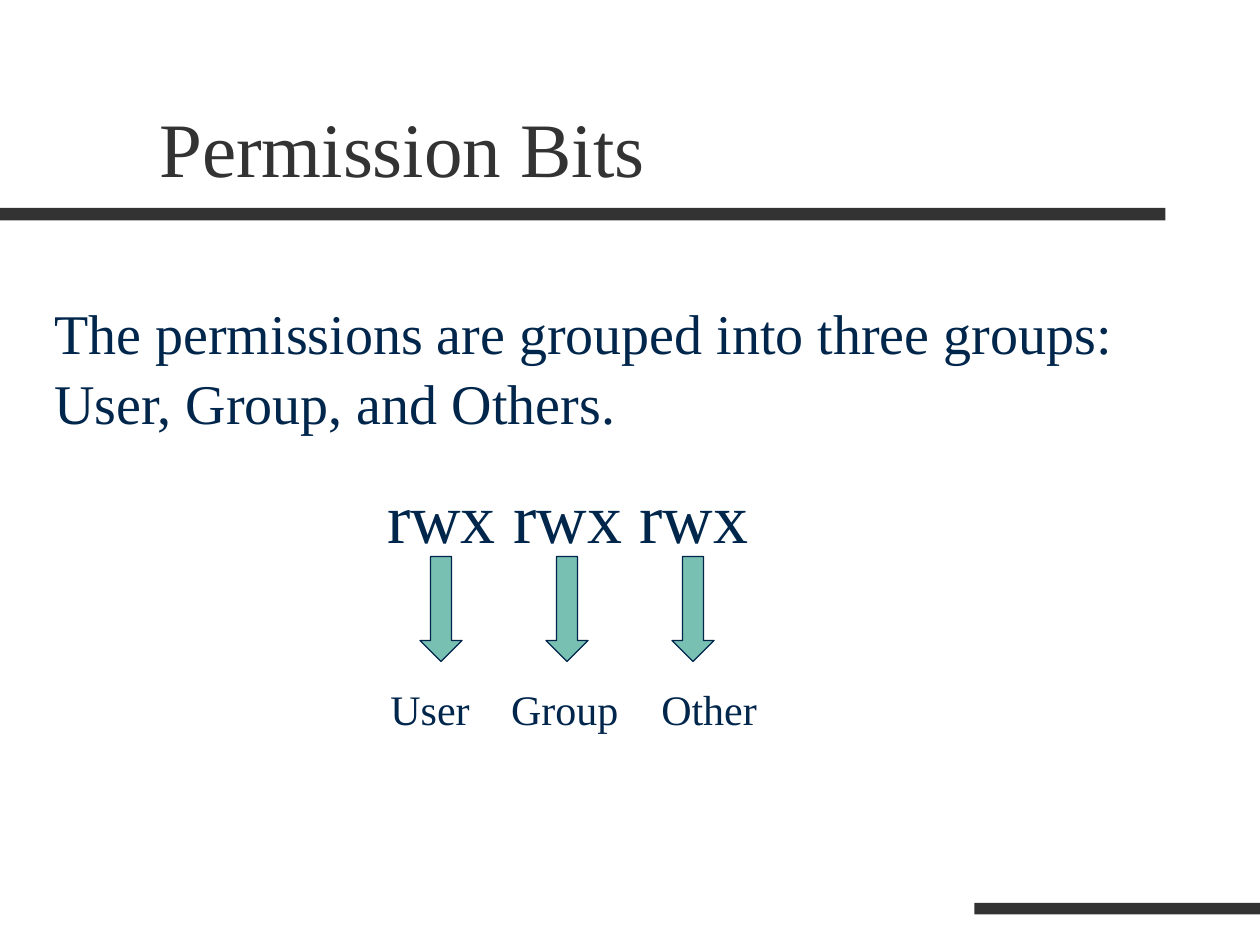
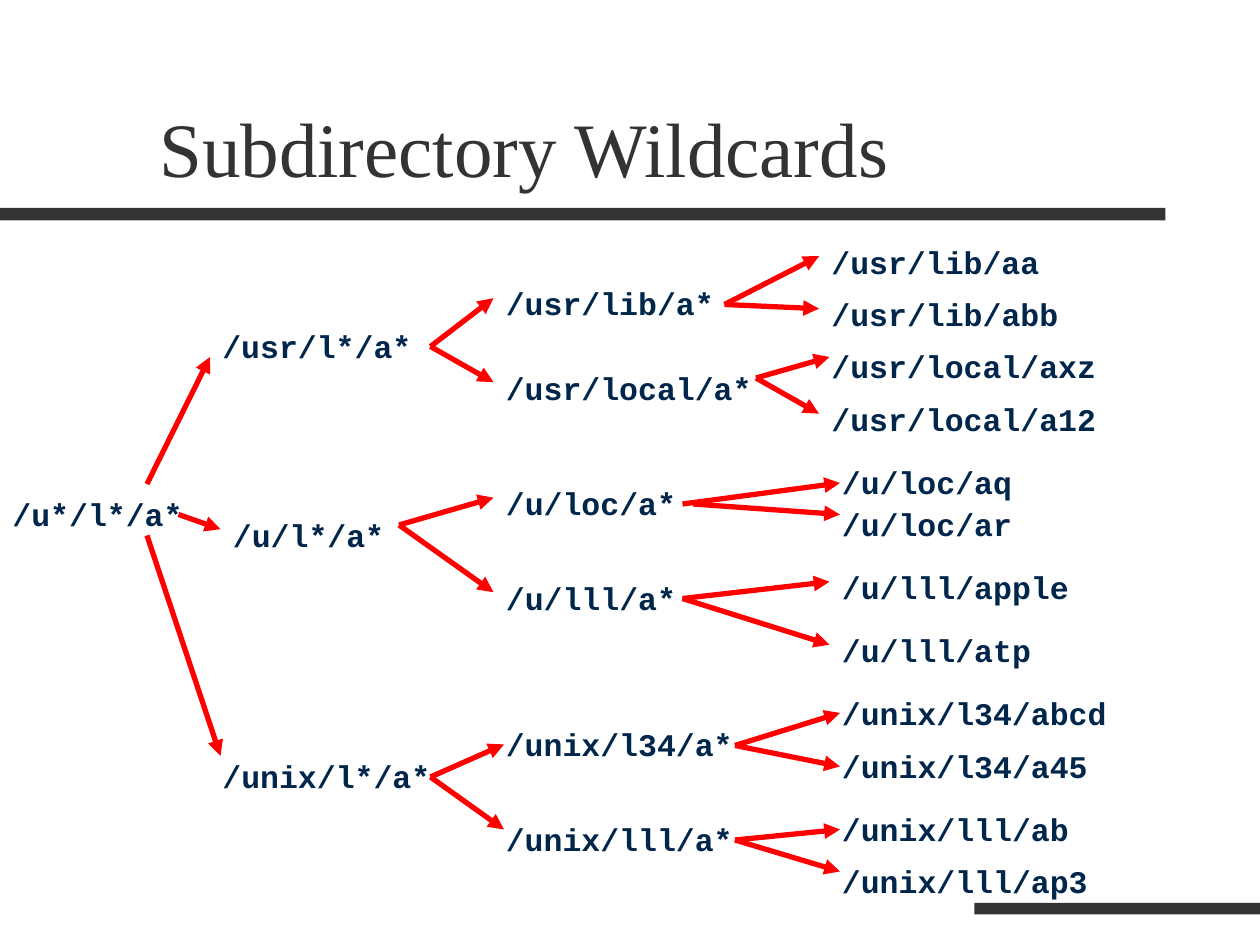
"""Build two slides on file permissions and wildcards."""
from dataclasses import dataclass

import pptx
import pptx.dml.color
import pptx.enum.shapes
import pptx.enum.text
import pptx.oxml
import pptx.oxml.ns
import pptx.util

PX = 914400 // 120
COLORS = {"band": "333333", "ink": "00264C", "teal": "78C0B2", "red": "FF0000"}
SERIF, MONO = "Times New Roman", "Courier New"
PATH_HEIGHT = 48
JOIN_REACH = 6


@dataclass(frozen=True)
class PathLabel:
    text: str
    left: int
    top: int
    width: int

    @property
    def entry(self) -> tuple[int, int]:
        return self.left, self.top + PATH_HEIGHT // 2


@dataclass(frozen=True)
class Fork:
    start: tuple[int, int]
    tips: tuple[tuple[int, int], ...]


PATHS = [
    PathLabel("/u*/l*/a*", 0, 460, 260),
    PathLabel("/usr/l*/a*", 200, 300, 230),
    PathLabel("/u/l*/a*", 210, 480, 210),
    PathLabel("/unix/l*/a*", 200, 710, 260),
    PathLabel("/usr/lib/a*", 470, 260, 230),
    PathLabel("/usr/local/a*", 470, 340, 290),
    PathLabel("/u/loc/a*", 470, 450, 210),
    PathLabel("/u/lll/a*", 470, 540, 210),
    PathLabel("/unix/l34/a*", 470, 680, 240),
    PathLabel("/unix/lll/a*", 470, 770, 240),
    PathLabel("/usr/lib/aa", 780, 220, 230),
    PathLabel("/usr/lib/abb", 780, 270, 270),
    PathLabel("/usr/local/axz", 780, 320, 290),
    PathLabel("/usr/local/a12", 780, 370, 290),
    PathLabel("/u/loc/aq", 790, 430, 290),
    PathLabel("/u/loc/ar", 790, 470, 290),
    PathLabel("/u/lll/apple", 790, 530, 260),
    PathLabel("/u/lll/atp", 790, 590, 210),
    PathLabel("/unix/l34/abcd", 790, 650, 300),
    PathLabel("/unix/l34/a45", 790, 700, 260),
    PathLabel("/unix/lll/ab", 790, 760, 260),
    PathLabel("/unix/lll/ap3", 790, 810, 260),
]

FORKS = [
    Fork((140, 461), ((200, 340),)),
    Fork((170, 490), ((210, 500),)),
    Fork((140, 510), ((210, 720),)),
    Fork((410, 330), ((470, 289), (470, 360))),
    Fork((380, 500), ((470, 469), (470, 560))),
    Fork((410, 740), ((480, 709), (480, 790))),
    Fork((690, 290), ((780, 250), (780, 290))),
    Fork((720, 360), ((790, 340), (780, 390))),
    Fork((650, 480), ((800, 460),)),
    Fork((660, 480), ((800, 490),)),
    Fork((650, 570), ((790, 559), (790, 610))),
    Fork((700, 710), ((800, 679), (800, 730))),
    Fork((700, 800), ((800, 790), (800, 830))),
]


def rgb(name: str) -> pptx.dml.color.RGBColor:
    """Look up a named colour."""
    return pptx.dml.color.RGBColor.from_string(COLORS[name])


def px(*lengths: int) -> list[int]:
    """Turn px lengths into EMU."""
    return [length * PX for length in lengths]


def add_text(slide, text: str, left: int, top: int, width: int, height: int, *,
             size: int, font: str = SERIF, color: str = "ink", bold: bool = False,
             bottom: bool = False, inset_top: int = 11, spacing: float = 1.0,
             tabs: tuple[int, ...] = ()):
    """Add one formatted paragraph in a text box."""
    box = slide.shapes.add_textbox(*px(left, top, width, height))
    frame = box.text_frame
    frame.word_wrap = True
    frame.margin_top = inset_top * PX
    anchors = pptx.enum.text.MSO_ANCHOR
    frame.vertical_anchor = anchors.BOTTOM if bottom else anchors.TOP
    paragraph = frame.paragraphs[0]
    paragraph.line_spacing = spacing
    run = paragraph.add_run()
    run.text = text
    run.font.name = font
    run.font.size = pptx.util.Pt(size)
    run.font.bold = bold
    run.font.color.rgb = rgb(color)
    if tabs:
        stops = "".join(f'<a:tab pos="{tab * PX}" algn="l"/>' for tab in tabs)
        namespace = pptx.oxml.ns.nsdecls("a")
        paragraph.runs[0].font
        properties = paragraph._p.get_or_add_pPr()
        properties.append(pptx.oxml.parse_xml(f"<a:tabLst {namespace}>{stops}</a:tabLst>"))
    return box


def add_block(slide, kind, left: int, top: int, width: int, height: int,
              fill: str, outline: str | None = None) -> None:
    """Add a filled preset shape."""
    block = slide.shapes.add_shape(kind, *px(left, top, width, height))
    block.shadow.inherit = False
    block.fill.solid()
    block.fill.fore_color.rgb = rgb(fill)
    if outline:
        block.line.color.rgb = rgb(outline)
        block.line.width = pptx.util.Pt(0.75)
    else:
        block.line.fill.background()


def add_arrow(slide, start: tuple[int, int], tip: tuple[int, int]):
    """Add a red line with an arrowhead at its tip."""
    arrow = slide.shapes.add_connector(
        pptx.enum.shapes.MSO_CONNECTOR.STRAIGHT, *px(*start, *tip))
    arrow.line.color.rgb = rgb("red")
    arrow.line.width = pptx.util.Pt(3)
    namespace = pptx.oxml.ns.nsdecls("a")
    arrow.line._get_or_add_ln().append(
        pptx.oxml.parse_xml(f'<a:tailEnd {namespace} type="triangle"/>'))
    arrow._element.spPr.append(pptx.oxml.parse_xml(f"<a:effectLst {namespace}/>"))
    return arrow


def add_titled_slide(deck, title: str):
    """Add a slide with its two bands and title."""
    slide = deck.slides.add_slide(deck.slide_layouts[6])
    rectangle = pptx.enum.shapes.MSO_SHAPE.RECTANGLE
    for band in ((0, 198, 1110, 12), (928, 860, 272, 11)):
        add_block(slide, rectangle, *band, fill="band")
    add_text(slide, title, 140, 40, 1020, 150, size=44, color="band",
             bottom=True, inset_top=6)
    return slide


def build_permissions(deck) -> None:
    """Build the slide on permission bits."""
    slide = add_titled_slide(deck, "Permission Bits")
    add_text(slide, "rwx rwx rwx", 357, 440, 493, 92, size=40)
    for column in range(3):
        add_block(slide, pptx.enum.shapes.MSO_SHAPE.DOWN_ARROW,
                  400 + 120 * column, 530, 40, 100, fill="teal", outline="ink")
    add_text(slide, "The permissions are grouped into three groups: "
             "User, Group, and Others.", 40, 270, 1050, 204, size=32, spacing=1.05)
    add_text(slide, "User\tGroup\tOther", 360, 640, 480, 60, size=24, tabs=(115, 258))


def build_wildcards(deck) -> None:
    """Build the slide that expands a wildcard path as a tree."""
    slide = add_titled_slide(deck, "Subdirectory Wildcards")
    boxes = {
        label.entry: add_text(slide, label.text, label.left, label.top, label.width,
                              PATH_HEIGHT, size=18, font=MONO, bold=True)
        for label in PATHS
    }
    for fork in FORKS:
        for tip in fork.tips:
            arrow = add_arrow(slide, fork.start, tip)
            for entry, box in boxes.items():
                if entry[0] == tip[0] and abs(entry[1] - tip[1]) <= JOIN_REACH:
                    arrow.end_connect(box, 1)


def main() -> None:
    """Build and save the deck."""
    deck = pptx.Presentation()
    deck.slide_width, deck.slide_height = px(1200, 900)
    build_permissions(deck)
    build_wildcards(deck)
    deck.save("out.pptx")


if __name__ == "__main__":
    main()
